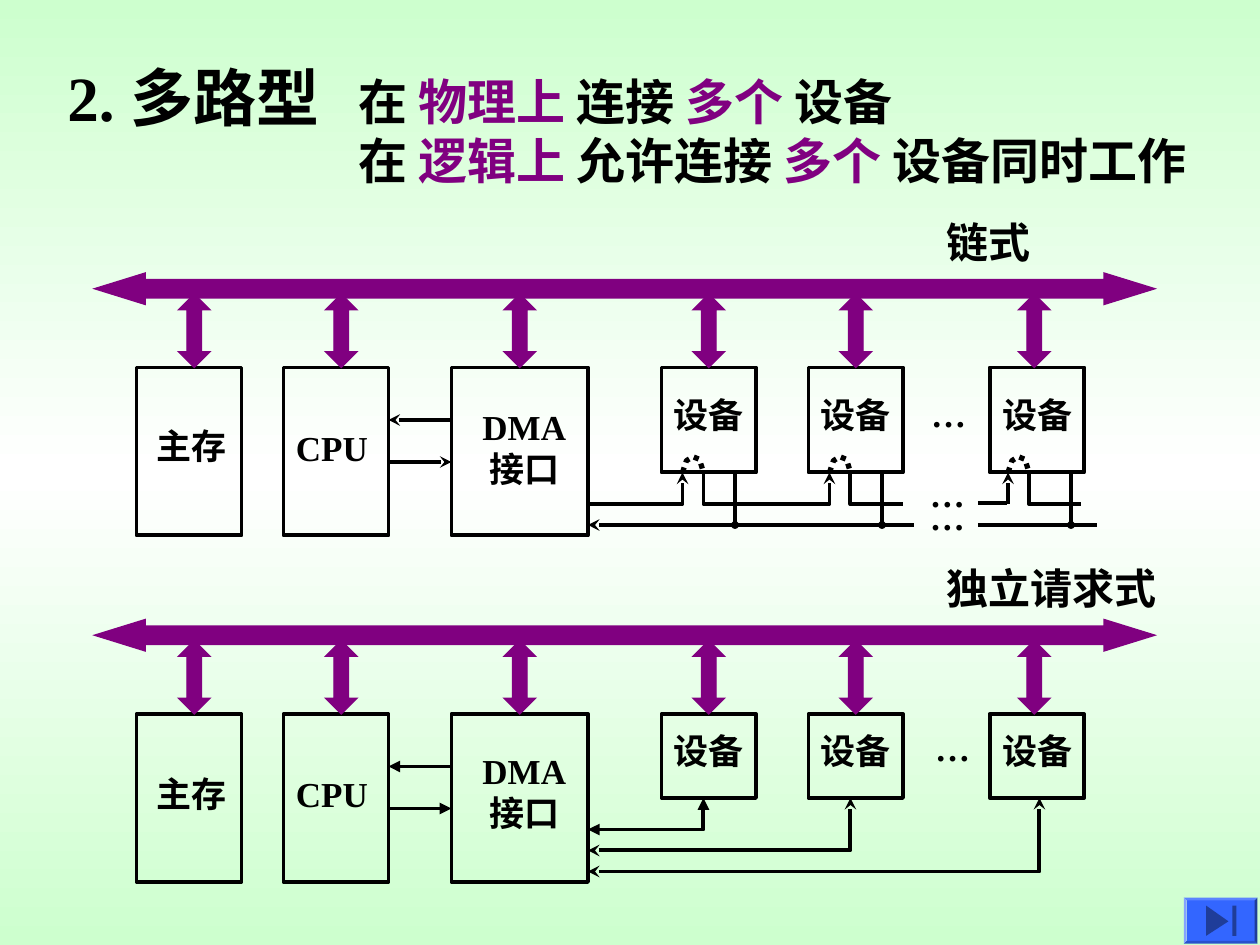
"""Builds the slide on chained and independent-request multiplexed DMA interfaces."""
from copy import deepcopy

from pptx import Presentation
from pptx.dml.color import RGBColor
from pptx.enum.dml import MSO_LINE
from pptx.enum.shapes import MSO_CONNECTOR, MSO_SHAPE
from pptx.enum.text import PP_ALIGN
from pptx.oxml.ns import qn
from pptx.util import Pt
from lxml import etree

STRAIGHT = MSO_CONNECTOR.STRAIGHT
RECTANGLE = MSO_SHAPE.RECTANGLE
BEVEL = MSO_SHAPE.BEVEL
BUS_ARROW = MSO_SHAPE.LEFT_RIGHT_ARROW
LINK_ARROW = MSO_SHAPE.UP_DOWN_ARROW
DOTTED = MSO_LINE.ROUND_DOT
LEFT, CENTER = PP_ALIGN.LEFT, PP_ALIGN.CENTER

SCALE = 9525
FONT = "Times New Roman"
COLORS = {
    "black": "000000",
    "purple": "800080",
    "mint": "CDFFCE",
    "white": "FFFFFF",
    "button": "3366FF",
    "icon": "1F3D99",
}
RGB = {name: RGBColor.from_string(value) for name, value in COLORS.items()}

deck = Presentation()
deck.slide_width = 960 * SCALE
deck.slide_height = 720 * SCALE
page = deck.slides.add_slide(deck.slide_layouts[6])

backdrop = page.background.fill
backdrop.gradient()
backdrop.gradient_angle = 270
stop_list = next(page._element.iter(qn("a:gsLst")))
stop_list.append(deepcopy(stop_list[-1]))
for stop, position, name in zip(backdrop.gradient_stops, (0, 0.5, 1), ("mint", "white", "mint")):
    stop.position = position
    stop.color.rgb = RGB[name]


def write(left, top, width, height, size, lines, align=LEFT):
    box = page.shapes.add_textbox(left * SCALE, top * SCALE, width * SCALE, height * SCALE)
    frame = box.text_frame
    frame.word_wrap = True
    if align == LEFT:
        frame.margin_right = 0
    for index, spans in enumerate(lines):
        para = frame.add_paragraph() if index else frame.paragraphs[0]
        para.alignment = align
        for text, color in spans:
            span = para.add_run()
            span.text = text
            span.font.size = Pt(size)
            span.font.bold = True
            span.font.name = FONT
            span.font.color.rgb = RGB[color]


def trace(points, head=None, tail=None, width=2.25, dash=None):
    if len(points) == 2:
        ends = [value * SCALE for point in points for value in point]
        wire = page.shapes.add_connector(STRAIGHT, *ends)
    else:
        builder = page.shapes.build_freeform(*points[0], scale=SCALE)
        builder.add_line_segments(points[1:], close=False)
        wire = builder.convert_to_shape()
        wire.fill.background()
    wire.line.color.rgb = RGB["black"]
    wire.line.width = Pt(width)
    if dash:
        wire.line.dash_style = dash
    outline = wire.line._get_or_add_ln()
    for tag, kind in (("a:headEnd", head), ("a:tailEnd", tail)):
        if kind:
            tip = etree.SubElement(outline, qn(tag), type=kind)
            if kind == "oval":
                tip.set("w", "sm")
                tip.set("len", "sm")
    etree.SubElement(wire._element.spPr, qn("a:effectLst"))


write(42, 40, 223, 67, 36, [[("2. 多路型", "black")]])
write(264, 50, 696, 100, 28, [
    [("在 ", "black"), ("物理上 ", "purple"), ("连接 ", "black"),
     ("多个 ", "purple"), ("设备", "black")],
    [("在 ", "black"), ("逻辑上 ", "purple"), ("允许连接 ", "black"),
     ("多个 ", "purple"), ("设备同时工作", "black")],
])

device_lefts = (504, 616, 754)
link_lefts = (136, 248, 384, 528, 640, 776)
diagrams = [
    {"name": "链式", "bus": 208, "device_height": 80, "arrow": "stealth", "name_width": 128,
     "device_text": 295, "dma_text": 304, "cpu_text": 320, "memory_text": 319, "gap": (700, 294)},
    {"name": "独立请求式", "bus": 472, "device_height": 64, "arrow": "triangle", "name_width": 240,
     "device_text": 551, "dma_text": 566, "cpu_text": 584, "memory_text": 584, "gap": (703, 549)},
]

for diagram in diagrams:
    bus = diagram["bus"]
    top = bus + 72
    frames = [(104, 80, 128), (216, 80, 128), (344, 104, 128)]
    frames += [(left, 72, diagram["device_height"]) for left in device_lefts]
    for left, width, height in frames:
        frame = page.shapes.add_shape(RECTANGLE, left * SCALE, top * SCALE, width * SCALE, height * SCALE)
        frame.shadow.inherit = False
        frame.fill.background()
        frame.line.color.rgb = RGB["black"]
        frame.line.width = Pt(2.25)

    arrows = [(BUS_ARROW, 72, bus, 808, 24, (0.583, 1.613))]
    arrows += [(LINK_ARROW, left, bus + 16, 24, 56, (0.5, 0.464)) for left in link_lefts]
    for kind, left, arrow_top, width, height, adjustments in arrows:
        arrow = page.shapes.add_shape(kind, left * SCALE, arrow_top * SCALE, width * SCALE, height * SCALE)
        arrow.shadow.inherit = False
        arrow.adjustments[0], arrow.adjustments[1] = adjustments
        arrow.fill.solid()
        arrow.fill.fore_color.rgb = RGB["purple"]
        arrow.line.color.rgb = RGB["purple"]
        arrow.line.width = Pt(0.75)
        etree.SubElement(arrow.line._get_or_add_ln(), qn("a:miter"), lim="800000")

    for left in device_lefts:
        write(left, diagram["device_text"], 72, 42, 20, [[("设备", "black")]])
    write(358, diagram["dma_text"], 83, 74, 20, [[("DMA", "black")], [("接口", "black")]], align=CENTER)
    write(216, diagram["cpu_text"], 74, 42, 20, [[("CPU", "black")]])
    write(110, diagram["memory_text"], 72, 42, 20, [[("主存", "black")]])
    write(*diagram["gap"], 46, 42, 20, [[("…", "black")]])
    write(712, bus - 48, diagram["name_width"], 48, 24, [[(diagram["name"], "black")]])

    trace([(296, top + 72), (344, top + 72)], tail=diagram["arrow"])
    trace([(344, top + 40), (296, top + 40)], tail=diagram["arrow"])

trace([(448, 384), (520, 384), (520, 360)], tail="stealth")
trace([(536, 360), (536, 384), (632, 384), (632, 360)], tail="stealth")
trace([(648, 360), (648, 384), (688, 384)])
trace([(745, 383), (767, 383)])
trace([(768, 384), (768, 360)], tail="stealth")
trace([(784, 360), (784, 384), (824, 384)])
trace([(696, 400), (448, 400)], tail="stealth")
trace([(745, 400), (836, 400)])
for x in (560, 672, 816):
    trace([(x, 360), (x, 400)], tail="oval")
for x in (520, 632, 768):
    arc = [(x, 360), (x + 3, 351), (x + 8, 348), (x + 13, 350), (x + 16, 360)]
    trace(arc, width=3, dash=DOTTED)
for dots_top in (355, 373):
    write(699, dots_top, 144, 42, 20, [[("…", "black")]])

for x, y, kind in ((536, 632, "triangle"), (648, 648, "stealth"), (792, 664, "stealth")):
    trace([(448, y), (x, y), (x, 608)], head=kind, tail=kind)

button = page.shapes.add_shape(BEVEL, 902 * SCALE, 684 * SCALE, 56 * SCALE, 35 * SCALE)
button.adjustments[0] = 0.06
triangle = page.shapes.build_freeform(919, 690, scale=SCALE)
triangle.add_line_segments([(936, 702), (919, 713)])
play = triangle.convert_to_shape()
bar = page.shapes.add_shape(RECTANGLE, 939 * SCALE, 690 * SCALE, 3 * SCALE, 23 * SCALE)
for part, color in ((button, "button"), (play, "icon"), (bar, "icon")):
    part.shadow.inherit = False
    part.fill.solid()
    part.fill.fore_color.rgb = RGB[color]
    part.line.fill.background()

deck.save("out.pptx")
